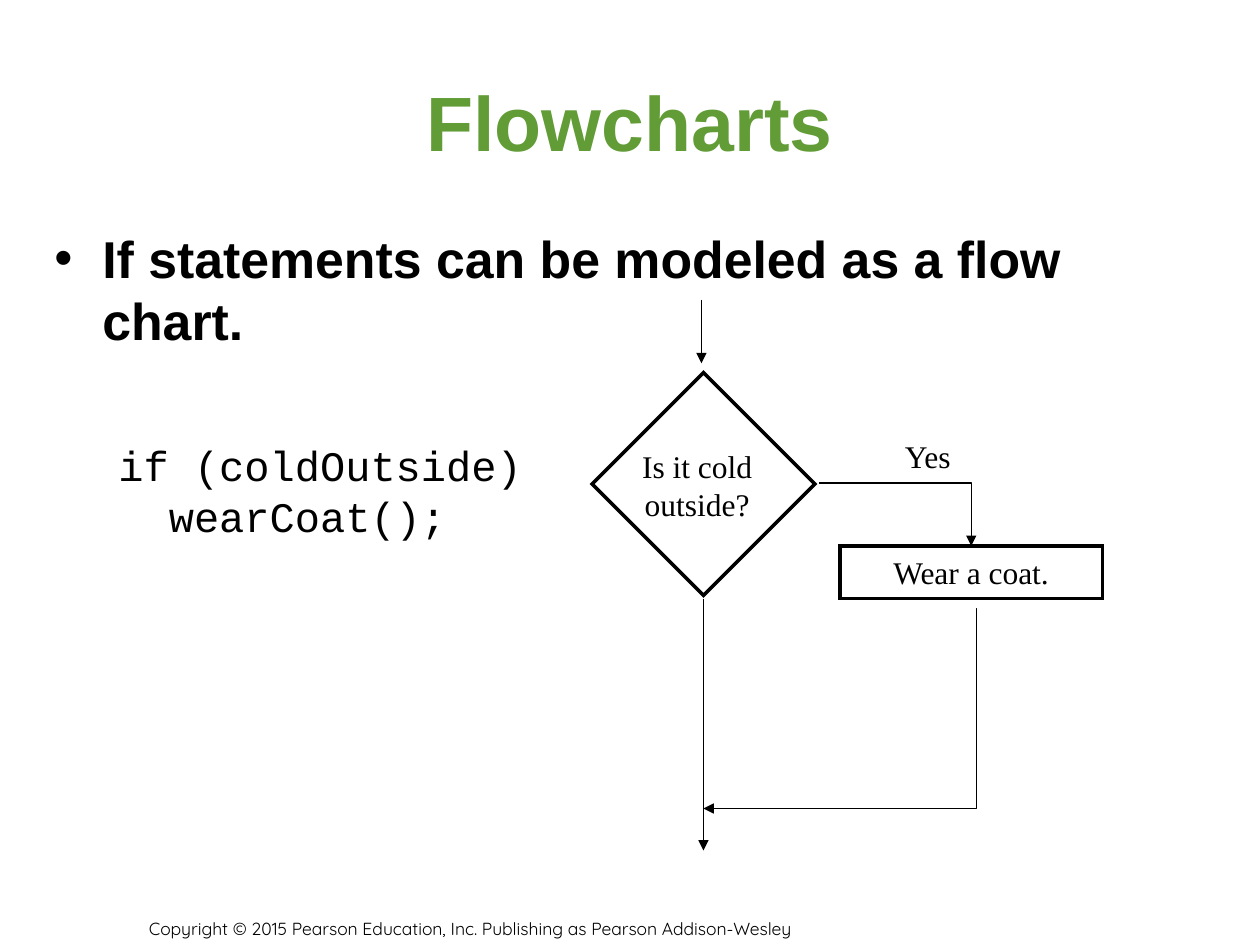
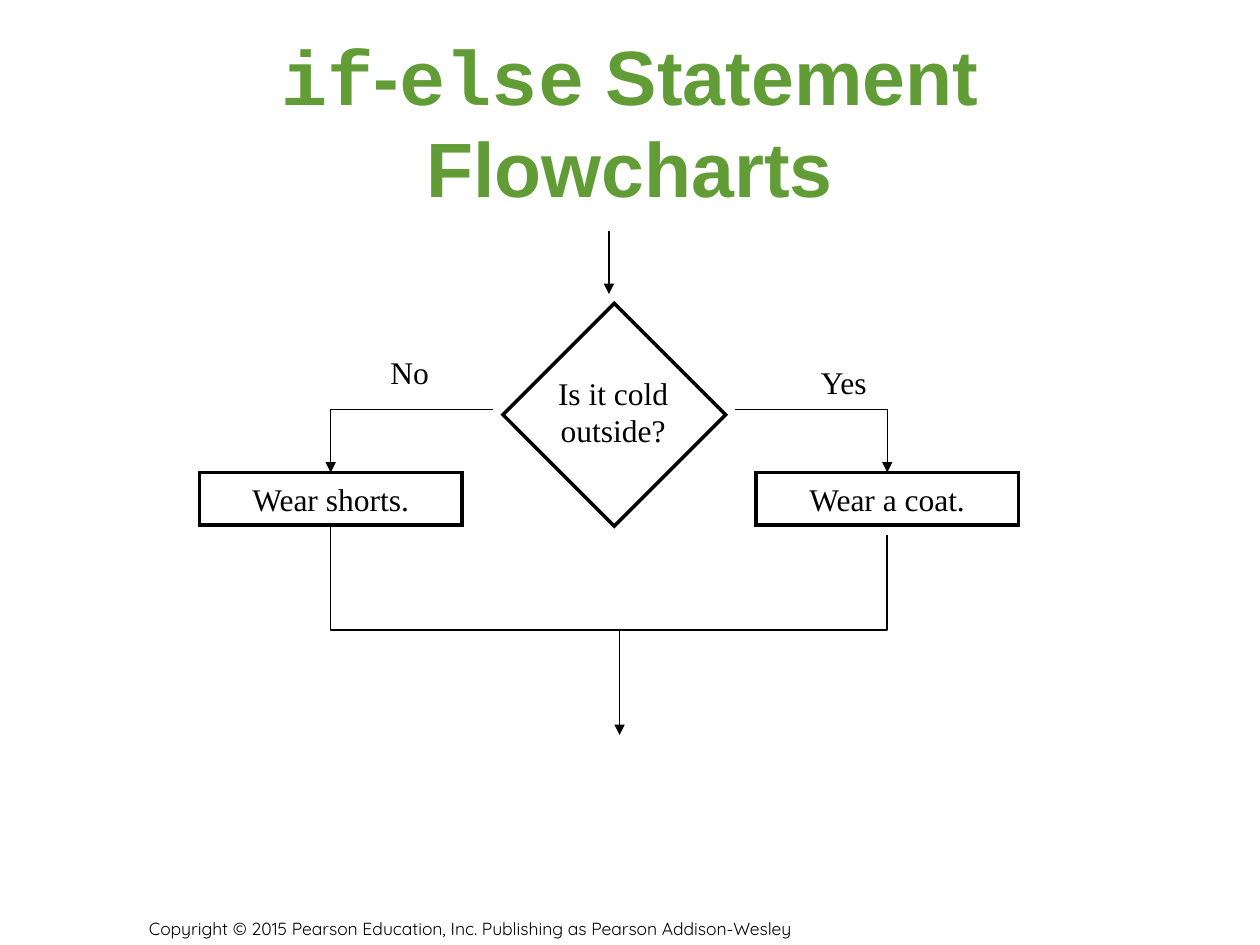
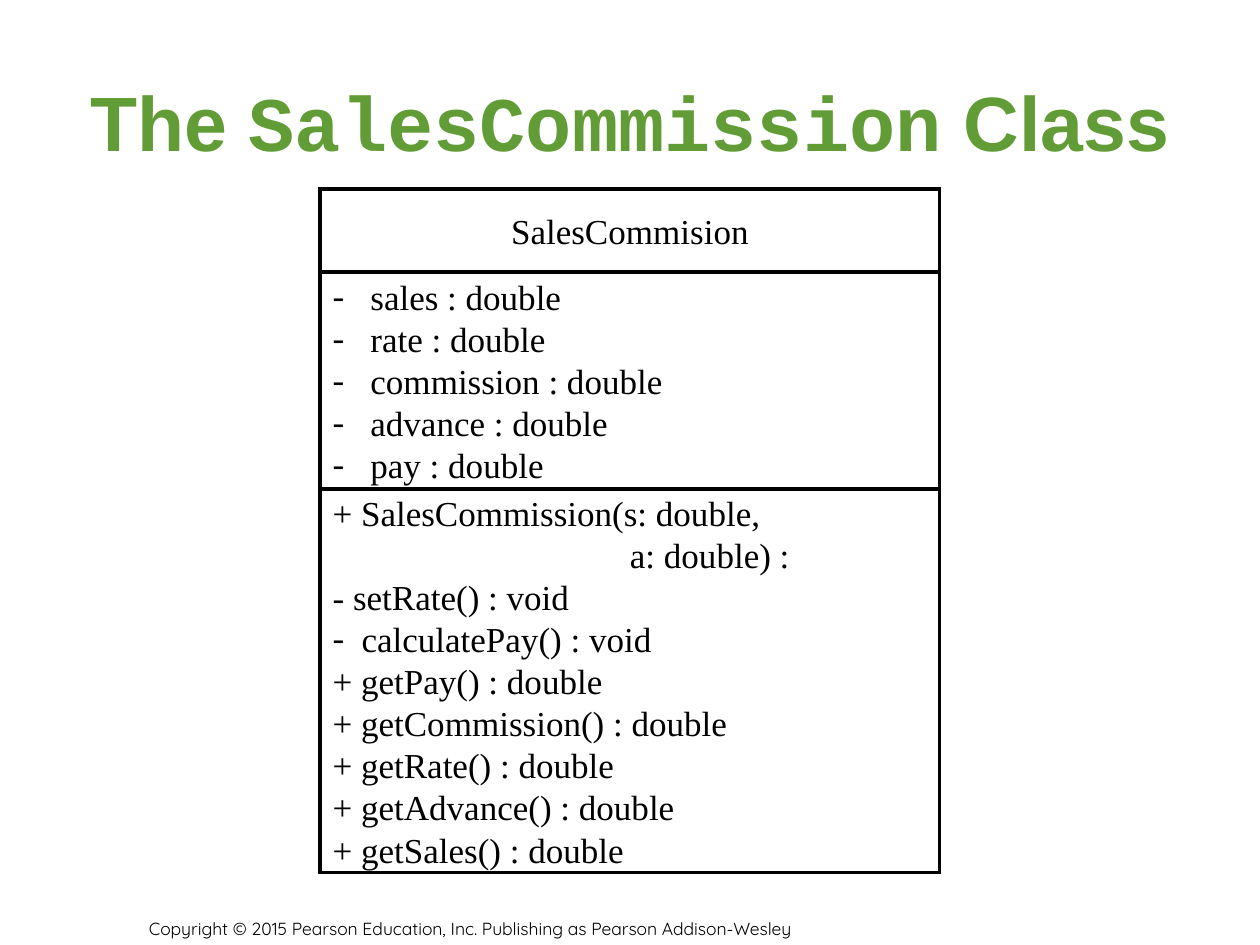
from pptx import Presentation
from pptx.dml.color import RGBColor
from pptx.enum.shapes import MSO_CONNECTOR as Connector, MSO_SHAPE as Shape
from pptx.enum.text import MSO_ANCHOR as Anchor, MSO_AUTO_SIZE as AutoSize, PP_ALIGN as Align
from pptx.oxml.ns import qn
from pptx.util import Inches, Pt
from lxml.etree import SubElement

# Shared style
color = RGBColor.from_string
BLACK, WHITE, GREEN = "000000", "FFFFFF", "629C36"
HEADING, SERIF, CODE, FOOTER = "Arial", "Times New Roman", "Courier New", "Quicksand"
COPYRIGHT = "Copyright © 2015 Pearson Education, Inc. Publishing as Pearson Addison-Wesley"

# Grid of 120 columns by 90 rows
presentation = Presentation()
presentation.slide_width, presentation.slide_height = Inches(10), Inches(7.5)
CELL = presentation.slide_width / 120


def add_box(slide, place, lines, font=SERIF, size=18, align=Align.CENTER,
            anchor=Anchor.TOP, wrap=False, outline=False, indents=None):
    """Add a text box or an outlined rectangle; indents maps a line number
    to its left margin in inches and its bullet, if any."""
    place = [int(cells * CELL) for cells in place]
    if outline:
        shape = slide.shapes.add_shape(Shape.RECTANGLE, *place)
        shape.shadow.inherit = False
        shape.fill.solid()
        shape.fill.fore_color.rgb = color(WHITE)
        shape.line.color.rgb = color(BLACK)
        shape.line.width = Pt(2)
        SubElement(shape._element.spPr.find(qn("a:ln")), qn("a:miter"), lim="800000")
    else:
        shape = slide.shapes.add_textbox(*place)
    frame = shape.text_frame
    frame.word_wrap, frame.vertical_anchor = wrap, anchor
    if not (wrap or outline):
        frame.auto_size = AutoSize.SHAPE_TO_FIT_TEXT
    frame.text = "\n".join(lines)
    for number, paragraph in enumerate(frame.paragraphs):
        paragraph.alignment = align
        if indents and number in indents:
            margin, bullet = indents[number]
            properties = paragraph._p.get_or_add_pPr()
            properties.set("marL", str(Inches(margin)))
            if bullet:
                properties.set("indent", str(-Inches(margin)))
                SubElement(properties, qn("a:buFont"), typeface=font)
                SubElement(properties, qn("a:buChar"), char=bullet)
        for run in paragraph.runs:
            run.font.name, run.font.size = font, Pt(size)
            run.font.color.rgb = color(BLACK)
    return shape


def add_line(slide, begin, end, preset="line", bend=None, turn=0, arrow=True):
    """Join two grid points; bend is the share of the width before the turn."""
    kind = Connector.STRAIGHT if preset == "line" else Connector.ELBOW
    points = [int(cells * CELL) for cells in (*begin, *end)]
    connector = slide.shapes.add_connector(kind, *points)
    connector.line.color.rgb = color(BLACK)
    connector.line.width = Pt(0.75)
    properties = connector._element.spPr
    geometry = properties.find(qn("a:prstGeom"))
    geometry.set("prst", preset)
    if bend is not None:
        SubElement(geometry.find(qn("a:avLst")), qn("a:gd"),
                   name="adj1", fmla=f"val {int(bend * 100000)}")
    if turn:
        properties.find(qn("a:xfrm")).set("rot", str(turn * 60000))
    if arrow:
        SubElement(properties.find(qn("a:ln")), qn("a:tailEnd"), type="triangle")
    SubElement(properties, qn("a:effectLst"))


# Slides with footer and title
titles = [
    [("Flowcharts", HEADING)],
    [("if", CODE), ("-", HEADING), ("else", CODE), (" Statement Flowcharts", HEADING)],
    [("The ", HEADING), ("SalesCommission", CODE), (" Class", HEADING)],
]
slides = []
for title in titles:
    slide = presentation.slides.add_slide(presentation.slide_layouts[6])
    add_box(slide, (13, 86, 86, 4), [COPYRIGHT], FOOTER, 10, Align.LEFT,
            Anchor.BOTTOM, wrap=True)
    heading = add_box(slide, (6, 4, 108, 15), [], anchor=Anchor.MIDDLE, wrap=True)
    for text, font in title:
        run = heading.text_frame.paragraphs[0].add_run()
        run.text = text
        run.font.name, run.font.size, run.font.bold = font, Pt(44), True
        run.font.color.rgb = color(GREEN)
    slides.append(slide)
if_slide, else_slide, class_slide = slides

# Statement and code beside the first flowchart
statement = add_box(if_slide, (4, 21, 108.8, 13.5),
                    ["If statements can be modeled as a flow chart."],
                    HEADING, 29.6, Align.LEFT, wrap=True, indents={0: (0.38, "•")})
statement.text_frame.paragraphs[0].runs[0].font.bold = True
add_box(if_slide, (10.1, 41.3, 40.8, 10.8), ["if (coldOutside)", "  wearCoat();"],
        CODE, 24, Align.LEFT)

# Decision and "Yes" branch of both flowcharts, placed from the coat box
decisions = [
    (if_slide, 80, 52, (59.5, 38.6), (66.8, 28.6)),
    (else_slide, 72, 45, (51, 32), (58, 22)),
]
for slide, left, top, diamond_corner, entry in decisions:
    diamond = add_box(slide, (*diamond_corner, 15, 15), [], outline=True)
    diamond.rotation = 45
    add_box(slide, (left, top, 25, 5), ["Wear a coat."], anchor=Anchor.MIDDLE, outline=True)
    add_line(slide, (left - 2, top - 6), (left + 12.5, top), "bentConnector2")
    add_box(slide, (left + 4.8, top - 11, 7.1, 4.8), ["Yes"])
    add_line(slide, entry, (entry[0], entry[1] + 6))
    add_box(slide, (left - 20.3, top - 10, 13.4, 8.4), ["Is it cold", "outside?"])

# Exit and return of the if flowchart
add_line(if_slide, (67, 57), (67, 81))
add_line(if_slide, (93, 58), (67, 77), "bentConnector3", bend=0.001)

# "No" branch and merge of the if-else flowchart
add_box(else_slide, (19, 45, 25, 5), ["Wear shorts."], anchor=Anchor.MIDDLE, outline=True)
add_line(else_slide, (47, 39), (31.5, 45), "bentConnector2")
add_line(else_slide, (55.25, 46.25), (35.25, 73.75), "bentConnector3", bend=0.5, turn=270)
add_line(else_slide, (84.5, 51), (59, 60), "bentConnector3", bend=0.001, arrow=False)
add_box(else_slide, (36, 33, 6.4, 4.8), ["No"], align=Align.LEFT)

# Class diagram: name, fields, methods
fields = [f"{name} : double" for name in ("sales", "rate", "commission", "advance", "pay")]
getters = [f"+ get{name}() : double" for name in ("Pay", "Commission", "Rate", "Advance", "Sales")]
methods = ["+ SalesCommission(s: double,", "a: double) :", "- setRate() : void",
           "calculatePay() : void", *getters]
compartments = [
    (7.9, ["SalesCommision"], Align.CENTER, None),
    (20.7, fields, Align.LEFT, {number: (0.3, "-") for number in range(len(fields))}),
    (36.5, methods, Align.LEFT, {1: (2.36, None), 3: (0.23, "-")}),
]
top = 18
for height, lines, align, indents in compartments:
    add_box(class_slide, (30.5, top, 59, height), lines, size=20, align=align,
            anchor=Anchor.MIDDLE, wrap=True, outline=True, indents=indents)
    top += height

presentation.save("out.pptx")
